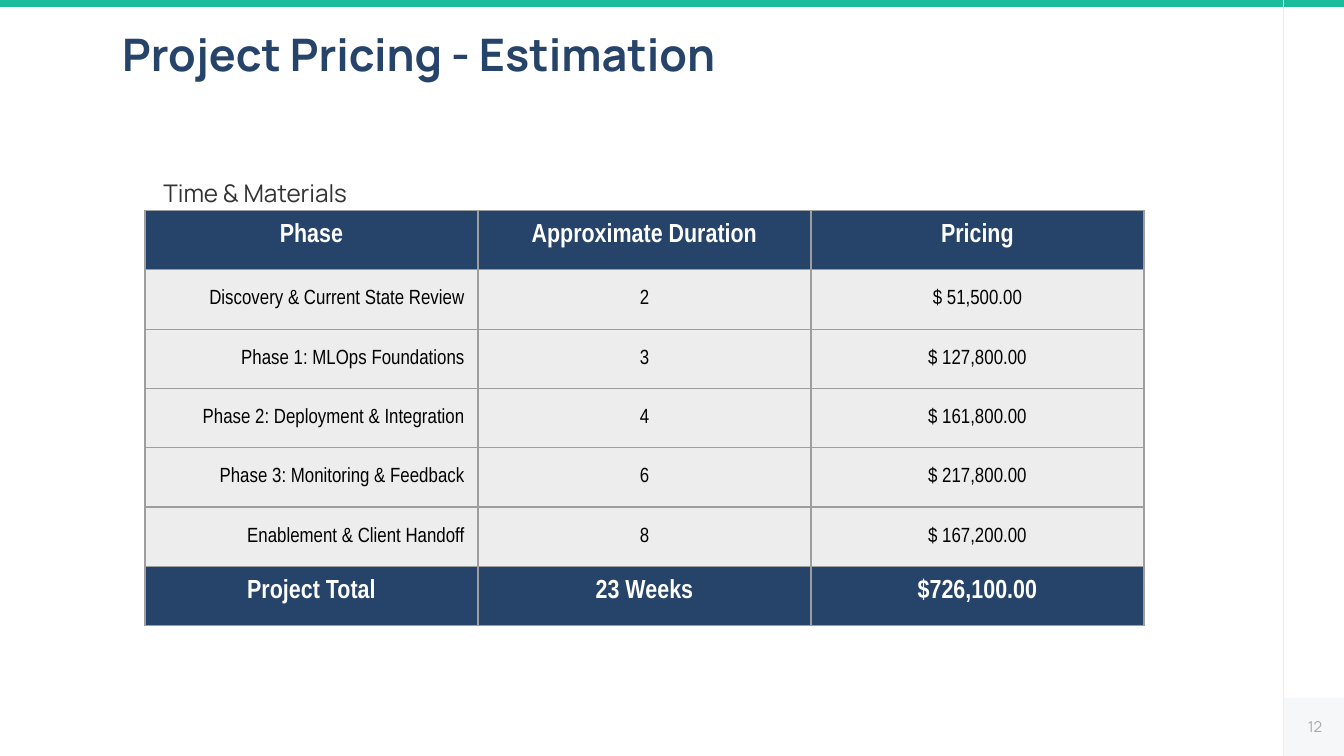
from pptx import Presentation
from pptx.dml.color import RGBColor
from pptx.enum.shapes import MSO_CONNECTOR, MSO_SHAPE
from pptx.enum.text import MSO_ANCHOR, PP_ALIGN
from pptx.oxml import parse_xml
from pptx.oxml.ns import nsdecls
from pptx.util import Cm, Pt

LEFT, CENTER, RIGHT = PP_ALIGN.LEFT, PP_ALIGN.CENTER, PP_ALIGN.RIGHT
TOP, MIDDLE = MSO_ANCHOR.TOP, MSO_ANCHOR.MIDDLE
RECTANGLE, STRAIGHT = MSO_SHAPE.RECTANGLE, MSO_CONNECTOR.STRAIGHT
color = RGBColor.from_string
NAVY, GREEN, PALE, GRID = "264369", "1ABC9C", "E9EDEE", "9E9E9E"

deck = Presentation()
deck.slide_width, deck.slide_height = Cm(25.4), Cm(14.29)
page = deck.slides.add_slide(deck.slide_layouts[6])


def style(para, align, font, size, hex_color, bold=False):
    para.alignment = align
    for span in para.runs:
        span.font.name = font
        span.font.size = Pt(size)
        span.font.bold = bold
        span.font.color.rgb = color(hex_color)


# Page frame: number panel, side rule and top bar
panel = page.shapes.add_shape(RECTANGLE, Cm(24.26), Cm(13.19), Cm(1.14), Cm(1.1))
bar = page.shapes.add_shape(RECTANGLE, Cm(-0.08), Cm(-0.1), Cm(25.48), Cm(0.23))
for shape, fill in ((panel, PALE), (bar, GREEN)):
    shape.shadow.inherit = False
    shape.fill.solid()
    shape.fill.fore_color.rgb = color(fill)
    shape.line.fill.background()
panel_color = panel.fill._xPr.solidFill[0]
panel_color.append(parse_xml(f'<a:alpha {nsdecls("a")} val="41000"/>'))

rule = page.shapes.add_connector(STRAIGHT, Cm(24.26), Cm(14.29), Cm(24.26), Cm(0))
rule.line.color.rgb = color(PALE)
rule.line.width = Pt(0.75)
rule._element.spPr.append(parse_xml(f'<a:effectLst {nsdecls("a")}/>'))

# Title, table caption and page number
texts = [
    ("Project Pricing - Estimation", 2.06, 0.25, 22.25, 1.6, LEFT, TOP, 24, NAVY, True),
    ("Time & Materials", 2.84, 3.12, 6.58, 0.76, LEFT, TOP, 13, "333332", False),
    ("12", 23.72, 13.19, 1.52, 1.1, RIGHT, MIDDLE, 8, "A8A8A8", False),
]
for text, left, top, width, height, align, anchor, size, ink, bold in texts:
    box = page.shapes.add_textbox(Cm(left), Cm(top), Cm(width), Cm(height))
    frame = box.text_frame
    frame.word_wrap = True
    frame.vertical_anchor = anchor
    frame.margin_left = frame.margin_right = Cm(0.25)
    frame.margin_top = frame.margin_bottom = Cm(0.25)
    frame.text = text
    style(frame.paragraphs[0], align, "Manrope", size, ink, bold)

# Pricing table: header, phases, total
rows = [
    ("Phase", "Approximate Duration", "Pricing"),
    ("Discovery & Current State Review", "2", "$ 51,500.00"),
    ("Phase 1: MLOps Foundations", "3", "$ 127,800.00"),
    ("Phase 2: Deployment & Integration", "4", "$ 161,800.00"),
    ("Phase 3: Monitoring & Feedback", "6", "$ 217,800.00"),
    ("Enablement & Client Handoff", "8", "$ 167,200.00"),
    ("Project Total", "23 Weeks", "$726,100.00"),
]
table = page.shapes.add_table(
    len(rows), 3, Cm(2.74), Cm(3.98), Cm(18.88), Cm(7.85)
).table
for row_index, values in enumerate(rows):
    strong = row_index in (0, len(rows) - 1)
    for column_index, value in enumerate(values):
        cell = table.cell(row_index, column_index)
        cell.text = value
        cell.margin_left = cell.margin_right = Cm(0.25)
        cell.margin_top = cell.margin_bottom = Cm(0.25 if strong else 0.13)
        cell.vertical_anchor = TOP if strong else MIDDLE
        for side in ("lnL", "lnR", "lnT", "lnB"):
            cell._tc.get_or_add_tcPr().append(parse_xml(
                f'<a:{side} {nsdecls("a")} w="9525"><a:solidFill>'
                f'<a:srgbClr val="{GRID}"/></a:solidFill></a:{side}>'))
        cell.fill.solid()
        cell.fill.fore_color.rgb = color(NAVY if strong else "EDEDED")
        align = RIGHT if column_index == 0 and not strong else CENTER
        style(cell.text_frame.paragraphs[0], align, "Arial Narrow",
              14 if strong else 11, "FFFFFF" if strong else "000000", strong)

deck.save("out.pptx")
